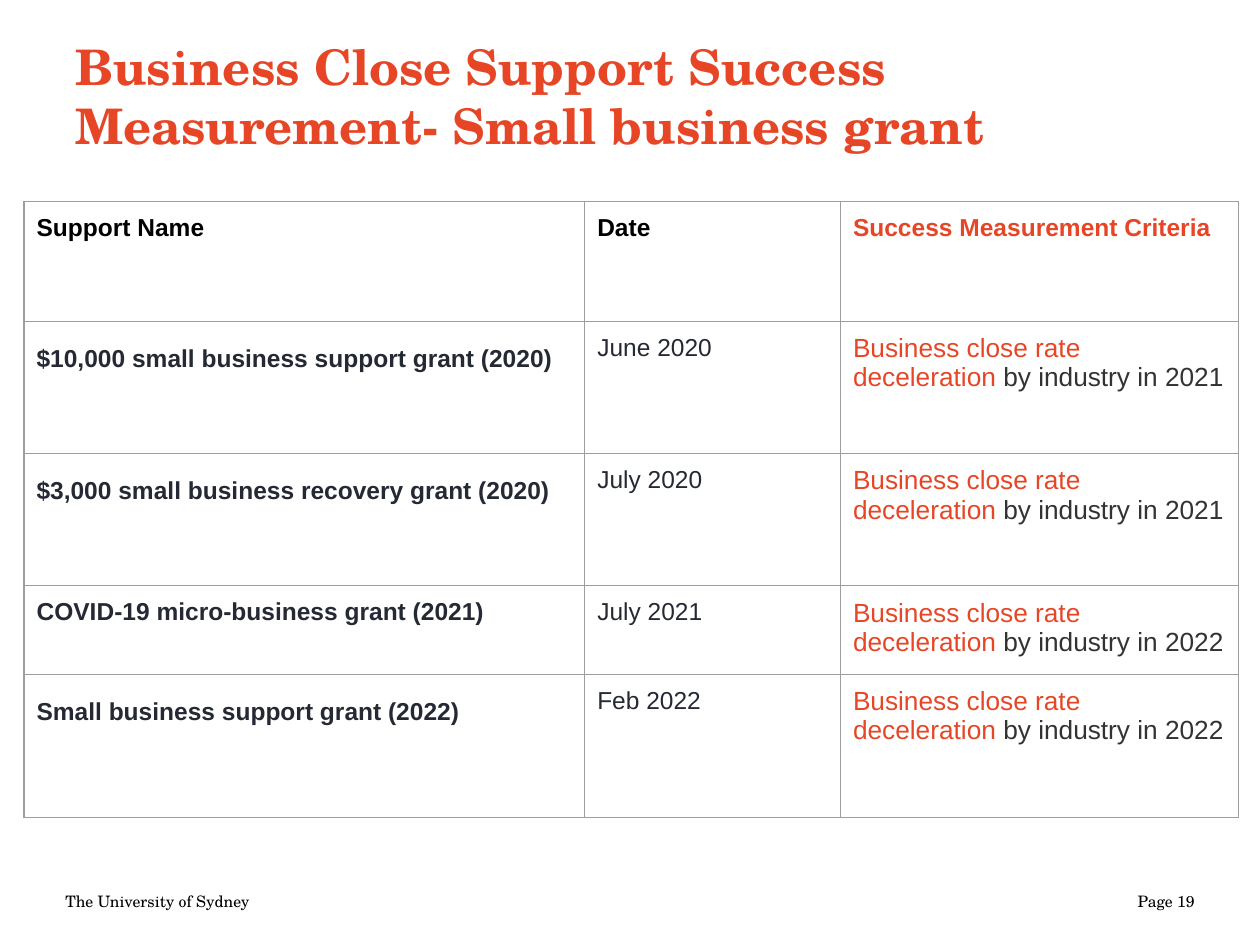
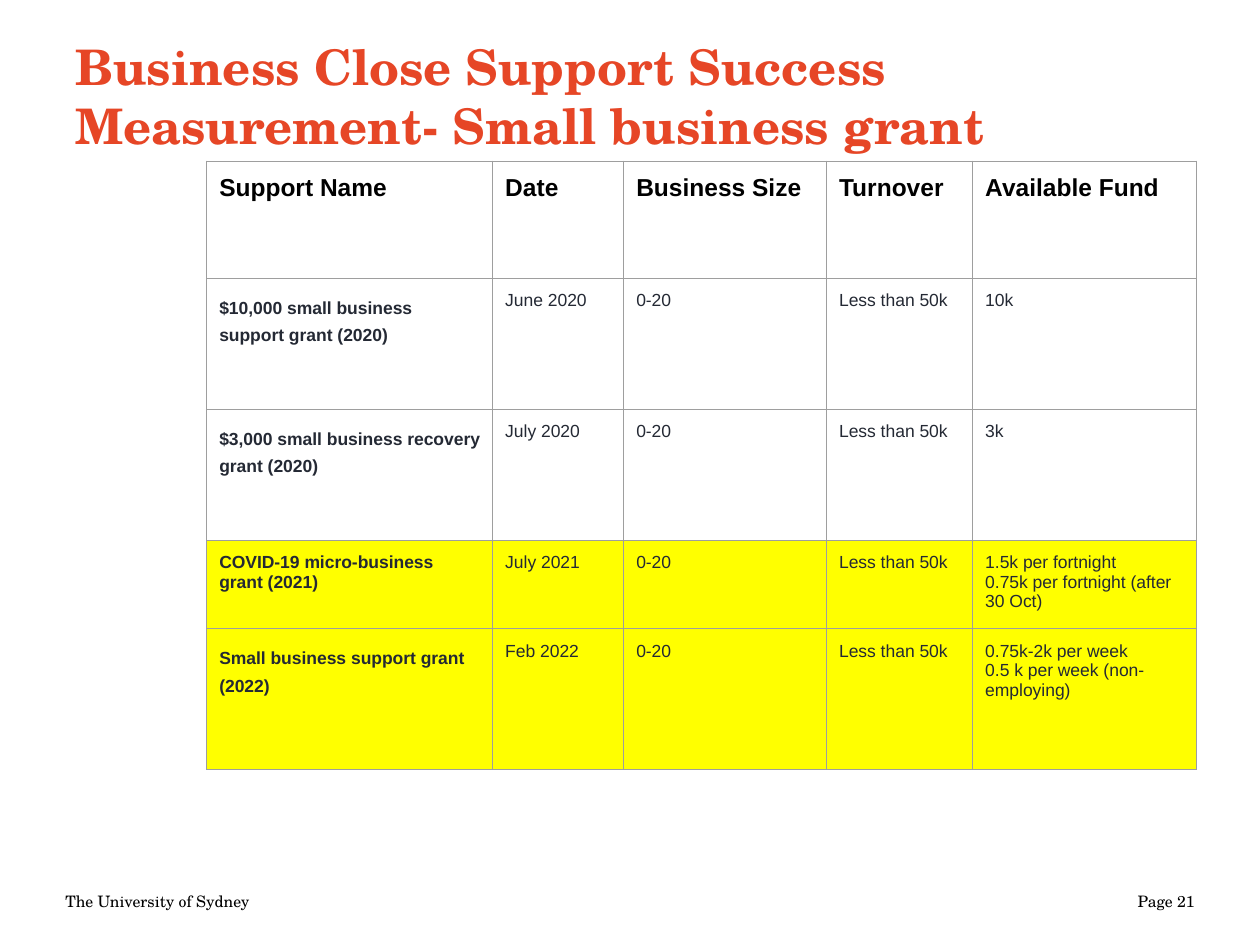
from lxml import etree
from pptx import Presentation
from pptx import util as u
from pptx.dml.color import RGBColor
from pptx.enum import text
from pptx.oxml.ns import qn

SERIF, SANS = "TeX Gyre Schola", "Arial"
ORANGE, BLACK, NAVY, GREY = "E64626", "000000", "242934", "333333"
BORDER, WHITE, YELLOW = "9E9E9E", "FFFFFF", "FFFF00"

TITLE = "Business Close Support Success Measurement- Small business grant"
GRANTS = [
    ("$10,000 small business support grant (2020)", "June 2020"),
    ("$3,000 small business recovery grant (2020)", "July 2020"),
    ("COVID-19 micro-business grant (2021)", "July 2021"),
    ("Small business support grant (2022)", "Feb 2022"),
]
TIGHT_GRANT = 2  # the one grant name set with single line spacing


def rgb(value):
    return RGBColor.from_string(value)


class SlideWriter:
    """Holds the deck's style and the slide being written."""

    def __init__(self, deck):
        self.deck = deck
        self.page = None

    def start(self, number):
        """Add a slide with the shared title and footer."""
        self.page = self.deck.slides.add_slide(self.deck.slide_layouts[6])
        self.label("The University of Sydney", 0.42, 6.95, 2.33, 0.4)
        self.label(f"Page {number}", 7.25, 6.95, 2.33, 0.4,
                   align=text.PP_ALIGN.RIGHT)
        self.label(TITLE, 0.5, 0.13, 9, 1.25, size=28, color=ORANGE, bold=True)

    def style(self, font, name, size, color, bold):
        font.name, font.size, font.bold = name, u.Pt(size), bold
        font.color.rgb = rgb(color)

    def label(self, words, left, top, width, height, size=9, color=BLACK,
              bold=False, align=text.PP_ALIGN.LEFT):
        box = self.page.shapes.add_textbox(
            *map(u.Inches, (left, top, width, height)))
        frame = box.text_frame
        frame.word_wrap = True
        frame.vertical_anchor = text.MSO_ANCHOR.MIDDLE
        para = frame.paragraphs[0]
        para.text, para.alignment = words, align
        self.style(para.font, SERIF, size, color, bold)

    def table(self, left, top, widths, heights):
        frame = self.page.shapes.add_table(
            len(heights), len(widths), u.Inches(left), u.Inches(top),
            u.Inches(sum(widths)), u.Inches(sum(heights)))
        grid = frame.table
        grid.first_row = grid.horz_banding = False
        for column, width in zip(grid.columns, widths):
            column.width = u.Inches(width)
        for row, height in zip(grid.rows, heights):
            row.height = u.Inches(height)
        return grid

    def border(self, cell):
        properties = cell._tc.get_or_add_tcPr()
        for side in ("lnL", "lnR", "lnT", "lnB"):
            line = etree.SubElement(properties, qn(f"a:{side}"),
                                    w=str(u.Pt(0.75)))
            solid = etree.SubElement(line, qn("a:solidFill"))
            etree.SubElement(solid, qn("a:srgbClr"), val=BORDER)

    def cell(self, cell, words, size, color=NAVY, bold=False, fill=WHITE,
             spacing=None):
        """Fill a cell; each line of words becomes a paragraph."""
        self.border(cell)
        cell.fill.solid()
        cell.fill.fore_color.rgb = rgb(fill)
        cell.margin_left = cell.margin_right = u.Inches(0.1)
        cell.margin_top = cell.margin_bottom = u.Inches(0.1)
        cell.text_frame.text = words
        for para in cell.text_frame.paragraphs:
            self.style(para.font, SANS, size, color, bold)
            if spacing:
                para.line_spacing = spacing

    def header(self, grid, names):
        for column, name in enumerate(names):
            self.cell(grid.cell(0, column), name, 14, BLACK, bold=True)

    def grant(self, grid, index, size, fill=WHITE):
        """Write a grant's name and date into the first two columns."""
        name, date = GRANTS[index]
        spacing = None if index == TIGHT_GRANT else 1.4
        self.cell(grid.cell(index + 1, 0), name, size, bold=True, fill=fill,
                  spacing=spacing)
        self.cell(grid.cell(index + 1, 1), date, size, fill=fill)


def criteria_slide(writer):
    writer.start(19)
    grid = writer.table(0.19, 1.6, [4.45, 2.03, 3.16],
                        [0.95, 1.05, 1.05, 0.67, 1.14])
    criteria = "Success Measurement Criteria"
    writer.header(grid, ["Support Name", "Date", criteria])
    heading = grid.cell(0, 2).text_frame.paragraphs[0]
    heading.font.color.rgb = rgb(ORANGE)
    for index, year in enumerate([2021, 2021, 2022, 2022]):
        writer.grant(grid, index, size=14)
        target = grid.cell(index + 1, 2)
        writer.cell(target, "", 15)
        para = target.text_frame.paragraphs[0]
        for words, color in (("Business close rate deceleration", ORANGE),
                             (f" by industry in {year}", GREY)):
            span = para.add_run()
            span.text = words
            writer.style(span.font, SANS, 15, color, False)


def funding_slide(writer):
    writer.start(21)
    grid = writer.table(1.64, 1.28, [2.27, 1.04, 1.61, 1.16, 1.78],
                        [0.93, 1.04, 1.04, 0.66, 1.12])
    writer.header(grid, ["Support Name", "Date", "Business Size", "Turnover",
                         "Available Fund"])
    funds = [
        "10k",
        "3k",
        "1.5k per fortnight\n0.75k per fortnight (after 30 Oct)",
        "0.75k-2k per week\n0.5 k per week (non-employing)",
    ]
    for index, fund in enumerate(funds):
        fill = YELLOW if index >= 2 else WHITE
        writer.grant(grid, index, size=10, fill=fill)
        for column, words in enumerate(["0-20", "Less than 50k", fund], 2):
            writer.cell(grid.cell(index + 1, column), words, 10, fill=fill)


def main():
    deck = Presentation()
    deck.slide_width, deck.slide_height = u.Inches(10), u.Inches(7.5)
    writer = SlideWriter(deck)
    criteria_slide(writer)
    funding_slide(writer)
    deck.save("out.pptx")


if __name__ == "__main__":
    main()
